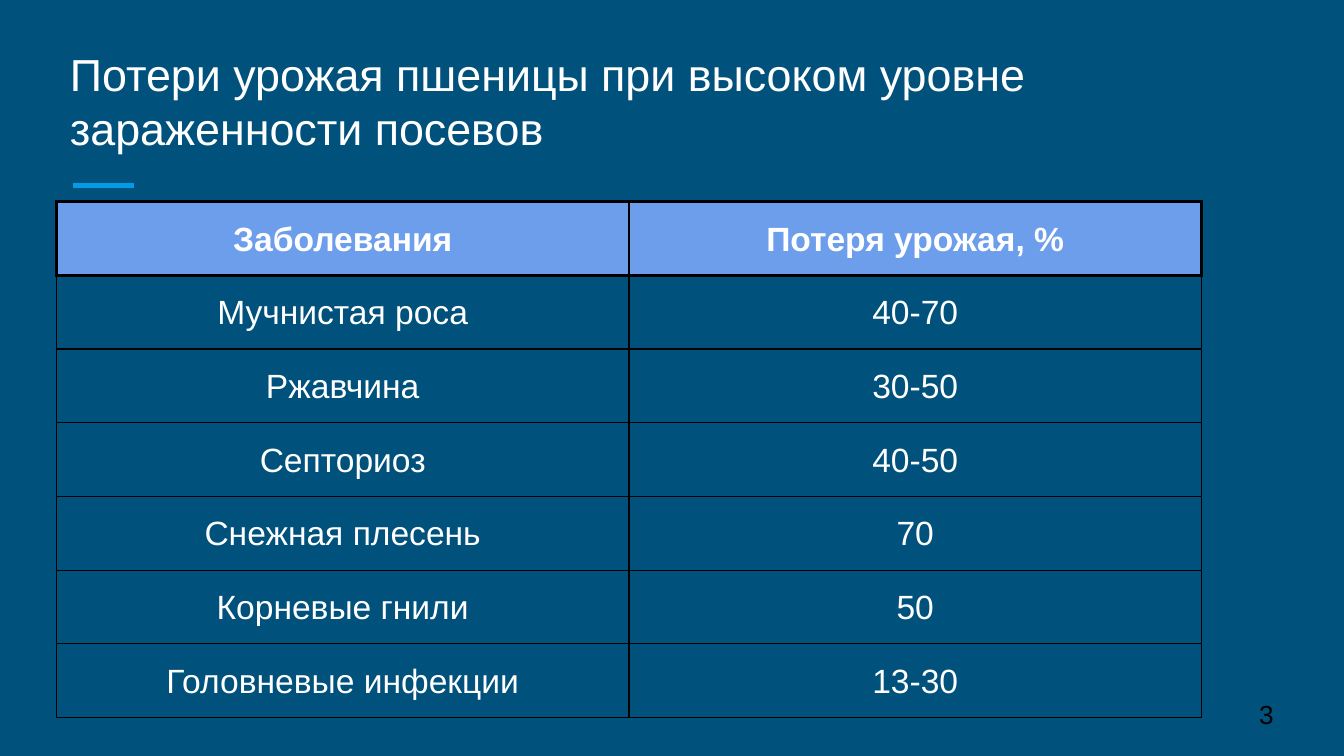
from typing import NamedTuple

from lxml import etree
from pptx import Presentation
from pptx.dml.color import RGBColor
from pptx.enum.shapes import MSO_CONNECTOR
from pptx.enum.text import MSO_ANCHOR, MSO_AUTO_SIZE, PP_ALIGN
from pptx.oxml.ns import qn
from pptx.util import Inches, Pt

STRAIGHT = MSO_CONNECTOR.STRAIGHT
BOTTOM, MIDDLE = MSO_ANCHOR.BOTTOM, MSO_ANCHOR.MIDDLE
LEFT, CENTER = PP_ALIGN.LEFT, PP_ALIGN.CENTER
NO_AUTOFIT = MSO_AUTO_SIZE.NONE

FONT = "Arial"
NAVY, SKY, PERIWINKLE = "00517C", "039BE5", "6D9EEB"
WHITE, BLACK = "FFFFFF", "000000"
INSET = Inches(0.1)
TABLE_W, TABLE_H = 8.52, 3.84
THIN, THICK = 0.75, 1.5


class Loss(NamedTuple):
    disease: str
    percent: str


HEADER = Loss("Заболевания", "Потеря урожая, %")
LOSSES = [
    Loss("Мучнистая роса", "40-70"),
    Loss("Ржавчина", "30-50"),
    Loss("Септориоз", "40-50"),
    Loss("Снежная плесень", "70"),
    Loss("Корневые гнили", "50"),
    Loss("Головневые инфекции", "13-30"),
]


def rgb(color: str) -> RGBColor:
    return RGBColor.from_string(color)


def set_text(tf, text: str, size: float, color: str, bold: bool = False, align=LEFT) -> None:
    tf.text = text
    p = tf.paragraphs[0]
    p.alignment = align
    p.font.name, p.font.size, p.font.bold = FONT, Pt(size), bold
    p.font.color.rgb = rgb(color)


def set_frame(tf, anchor) -> None:
    tf.word_wrap = True
    tf.auto_size = NO_AUTOFIT
    tf.vertical_anchor = anchor
    tf.margin_left = tf.margin_right = tf.margin_top = tf.margin_bottom = INSET


def set_borders(cell, width: float, top: float) -> None:
    tc_pr = cell._tc.get_or_add_tcPr()
    for side, points in (("lnL", width), ("lnR", width), ("lnT", top), ("lnB", width)):
        ln = etree.SubElement(tc_pr, qn(f"a:{side}"), w=str(Pt(points)))
        fill = etree.SubElement(ln, qn("a:solidFill"))
        etree.SubElement(fill, qn("a:srgbClr"), val=BLACK)


def fill_row(table, index: int, loss: Loss) -> None:
    is_header = index == 0
    for cell, text in zip(table.rows[index].cells, loss):
        set_text(cell.text_frame, text, 18, WHITE, is_header, CENTER)
        cell.text_frame.paragraphs[0].line_spacing = 1.15
        cell.margin_left = cell.margin_right = INSET
        cell.margin_top = cell.margin_bottom = INSET
        # Borders go before the fill in the cell properties
        set_borders(cell, THICK if is_header else THIN, THICK if index < 2 else THIN)
        if is_header:
            cell.fill.solid()
            cell.fill.fore_color.rgb = rgb(PERIWINKLE)
        else:
            cell.fill.background()


# Widescreen 16:9 slide
prs = Presentation()
prs.slide_width = Inches(10)
prs.slide_height = prs.slide_width * 9 // 16
s = prs.slides.add_slide(prs.slide_layouts[5])
s.background.fill.solid()
s.background.fill.fore_color.rgb = rgb(NAVY)

# Accent line under the title
accent = s.shapes.add_connector(STRAIGHT, Inches(0.54), Inches(1.38), Inches(1), Inches(1.38))
accent.line.color.rgb = rgb(SKY)
accent.line.width = Pt(3)
etree.SubElement(accent._element.spPr, qn("a:effectLst"))

# Title
title = s.shapes.title
title.left, title.top = Inches(0.42), Inches(0.5)
title.width, title.height = Inches(9.15), Inches(0.75)
set_frame(title.text_frame, BOTTOM)
set_text(title.text_frame, "Потери урожая пшеницы при высоком уровне зараженности посевов", 24, WHITE)

# Table of losses: the rows and columns share its size equally
rows = [HEADER, *LOSSES]
table = s.shapes.add_table(
    len(rows), len(HEADER), Inches(0.42), Inches(1.5), Inches(TABLE_W), Inches(TABLE_H)
).table
table.first_row = table.horz_banding = False
for index, loss in enumerate(rows):
    fill_row(table, index, loss)

# Slide number
number = s.shapes.add_textbox(Inches(9.27), Inches(5.1), Inches(0.6), Inches(0.43))
set_frame(number.text_frame, MIDDLE)
set_text(number.text_frame, "3", 14, BLACK)

prs.save("out.pptx")
